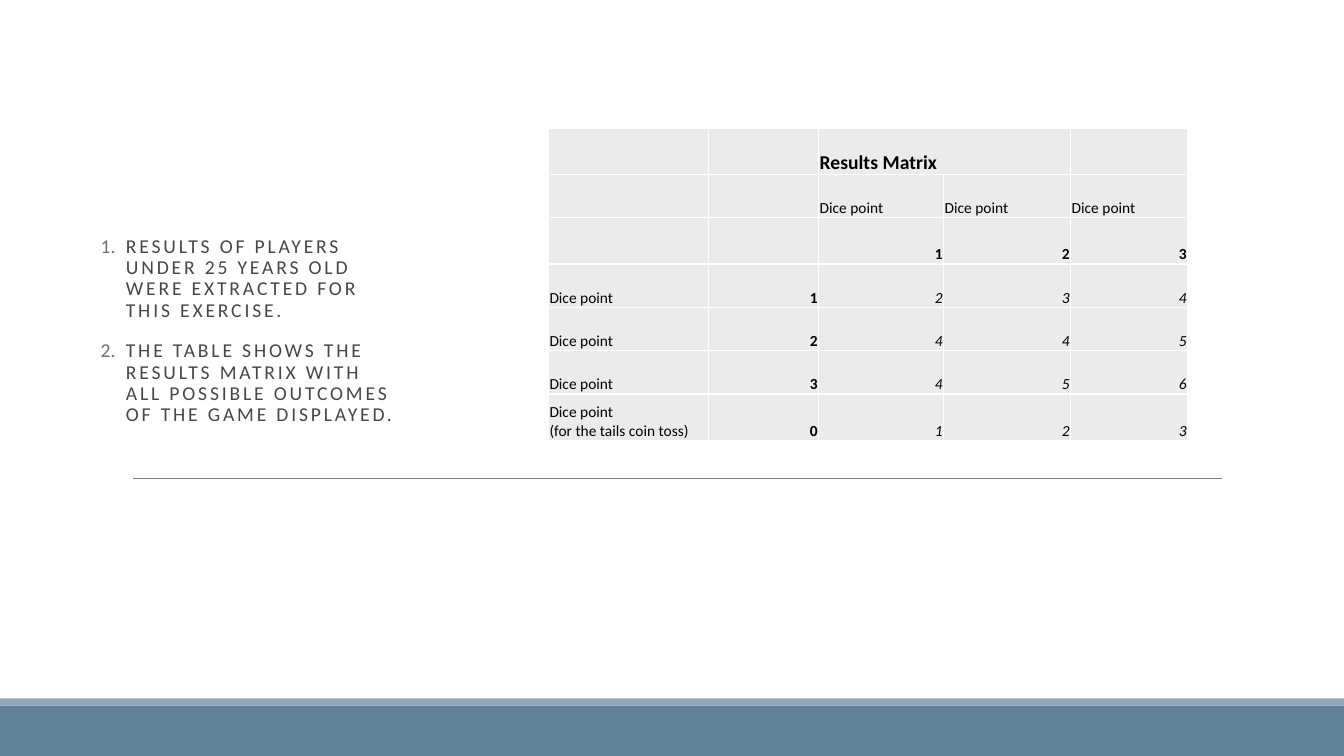
from lxml import etree
from pptx import Presentation
from pptx.dml.color import RGBColor
from pptx.enum import shapes, text
from pptx.oxml import ns
from pptx.util import Inches, Pt

COLORS = {
    "band": "618197", "band_edge": "92A9B9", "rule": "808080",
    "note": "46464A", "number": "6F6F74",
    "cell": "EBEBEB", "border": "FFFFFF", "ink": "000000",
}
FONT = "Calibri"
NOTES = [
    "RESULTS OF PLAYERS UNDER 25 YEARS OLD WERE EXTRACTED FOR THIS EXERCISE.",
    "THE TABLE SHOWS THE RESULTS MATRIX WITH ALL POSSIBLE OUTCOMES OF THE GAME DISPLAYED.",
]
MATRIX = [
    ["", "", "Results Matrix", "", ""],
    ["", "", "Dice point", "Dice point", "Dice point"],
    ["", "", "1", "2", "3"],
    ["Dice point", "1", "2", "3", "4"],
    ["Dice point", "2", "4", "4", "5"],
    ["Dice point", "3", "4", "5", "6"],
    ["Dice point\n(for the tails coin toss)", "0", "1", "2", "3"],
]
COLUMN_WIDTHS = [1.59, 1.09, 1.24, 1.26, 1.16]
ROW_HEIGHTS = [0.46, 0.43, 0.46, 0.43, 0.43, 0.43, 0.46]


def rgb(name):
    return RGBColor.from_string(COLORS[name])


def add_xml(parent, tag, **attributes):
    return etree.SubElement(parent, ns.qn(tag), attributes)


def set_font(font, size, color):
    font.name, font.size = FONT, Pt(size)
    font.color.rgb = rgb(color)


def add_footer(slide, left, top, width, height):
    """Draw a thin light strip above a dark band."""
    edge_height = 0.07
    strips = [("band", top + edge_height, height - edge_height),
              ("band_edge", top, edge_height)]
    for color, strip_top, strip_height in strips:
        strip = slide.shapes.add_shape(
            shapes.MSO_SHAPE.RECTANGLE, Inches(left), Inches(strip_top),
            Inches(width), Inches(strip_height))
        strip.shadow.inherit = False
        strip.fill.solid()
        strip.fill.fore_color.rgb = rgb(color)
        strip.line.fill.background()


def add_rule(slide, left, top, width):
    rule = slide.shapes.add_connector(
        shapes.MSO_CONNECTOR.STRAIGHT, Inches(left), Inches(top),
        Inches(left + width), Inches(top))
    rule.line.color.rgb = rgb("rule")
    rule.line.width = Pt(0.5)
    add_xml(rule._element.spPr, "a:effectLst")


def number_paragraph(paragraph):
    indent = Inches(0.25)
    properties = paragraph._p.get_or_add_pPr()
    properties.set("marL", str(indent))
    properties.set("indent", str(-indent))
    number_color = add_xml(properties, "a:buClr")
    add_xml(number_color, "a:srgbClr", val=COLORS["number"])
    add_xml(properties, "a:buAutoNum", type="arabicPeriod")


def add_notes(slide, left, top, width, height):
    frame = slide.shapes.add_textbox(
        Inches(left), Inches(top), Inches(width), Inches(height)).text_frame
    frame.word_wrap = True
    frame.vertical_anchor = text.MSO_ANCHOR.MIDDLE
    frame.text = "\n".join(NOTES)
    for note in frame.paragraphs:
        number_paragraph(note)
        note.line_spacing = 0.9
        note.space_before, note.space_after = Pt(12), Pt(2)
        set_font(note.font, 14, "note")
        note.font._rPr.set("spc", "200")


def add_borders(cell):
    properties = cell._tc.get_or_add_tcPr()
    for side in ("a:lnL", "a:lnR", "a:lnT", "a:lnB"):
        border = add_xml(properties, side, w=str(Pt(1)))
        fill = add_xml(border, "a:solidFill")
        add_xml(fill, "a:srgbClr", val=COLORS["border"])


def fill_cell(cell, content, row, column):
    """Titles and point headers are bold, outcomes italic, numbers right-aligned."""
    add_borders(cell)
    cell.fill.solid()
    cell.fill.fore_color.rgb = rgb("cell")
    if not content:
        return
    cell.vertical_anchor = text.MSO_ANCHOR.BOTTOM
    cell.margin_left = cell.margin_right = cell.margin_top = Inches(0.01)
    cell.margin_bottom = 0
    cell.text = content
    is_title = row == 0
    is_number = content.isdigit()
    is_outcome = row > 2 and column > 1
    for paragraph in cell.text_frame.paragraphs:
        set_font(paragraph.font, 14 if is_title else 11, "ink")
        paragraph.font.bold = is_title or (is_number and not is_outcome)
        paragraph.font.italic = is_outcome
        if is_number:
            paragraph.alignment = text.PP_ALIGN.RIGHT


def add_matrix(slide, left, top):
    matrix = slide.shapes.add_table(
        len(ROW_HEIGHTS), len(COLUMN_WIDTHS), Inches(left), Inches(top),
        Inches(sum(COLUMN_WIDTHS)), Inches(sum(ROW_HEIGHTS))).table
    matrix.first_row = matrix.horz_banding = False
    for column, width in zip(matrix.columns, COLUMN_WIDTHS):
        column.width = Inches(width)
    for row, height in zip(matrix.rows, ROW_HEIGHTS):
        row.height = Inches(height)
    matrix.cell(0, 2).merge(matrix.cell(0, 3))
    for r, contents in enumerate(MATRIX):
        for c, content in enumerate(contents):
            fill_cell(matrix.cell(r, c), content, r, c)


def main():
    deck = Presentation()
    deck.slide_width, deck.slide_height = Inches(13.33), Inches(7.5)
    slide = deck.slides.add_slide(deck.slide_layouts[6])
    add_footer(slide, 0, 6.93, 13.33, 0.57)
    add_rule(slide, 1.32, 4.75, 10.8)
    add_notes(slide, 0.9, 1.27, 3.21, 4.03)
    add_matrix(slide, 5.44, 1.27)
    deck.save("out.pptx")


if __name__ == "__main__":
    main()
